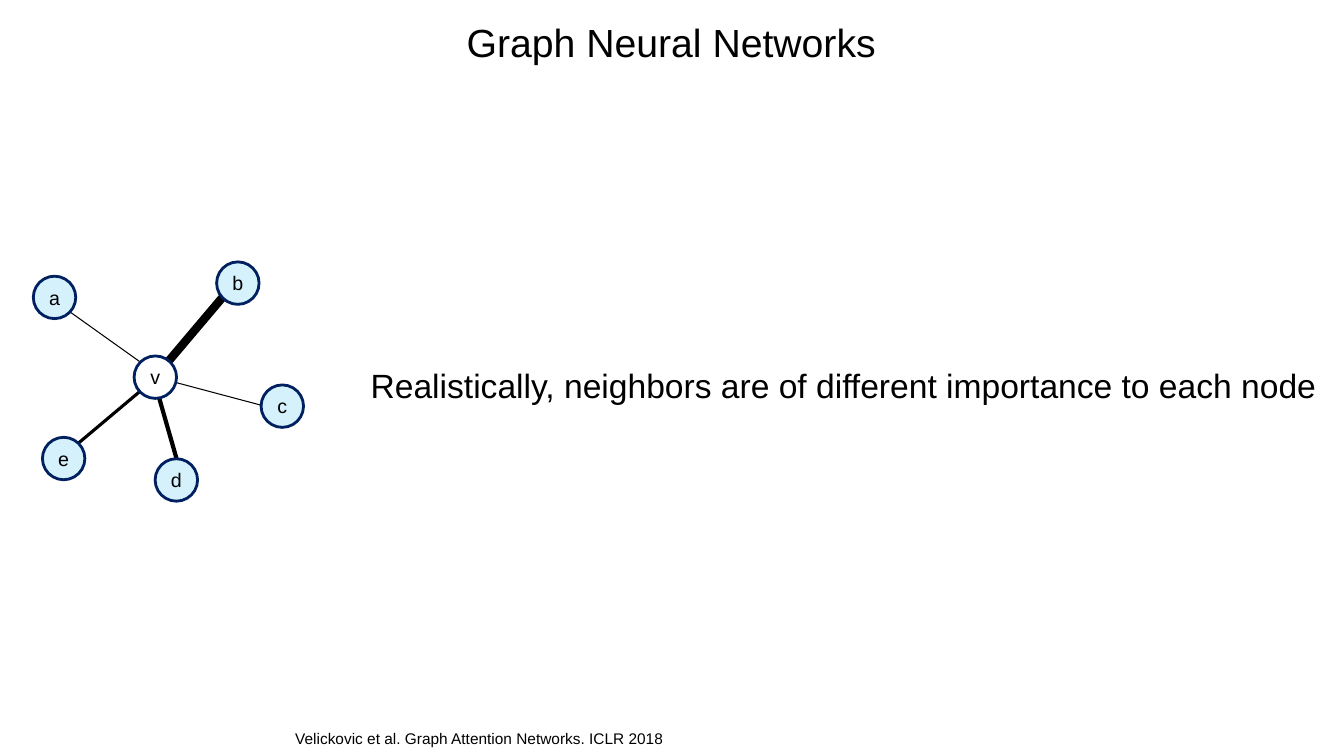
from lxml.etree import SubElement
from pptx import Presentation
from pptx.dml.color import RGBColor
from pptx.enum.shapes import MSO_CONNECTOR, MSO_SHAPE
from pptx.enum.text import MSO_ANCHOR, PP_ALIGN
from pptx.oxml.ns import qn
from pptx.util import Cm, Pt

BLACK = "000000"
NODE_SIZE = 1.07


def color(code):
    return RGBColor.from_string(code)


def write(frame, text, size, align=PP_ALIGN.LEFT):
    para = frame.paragraphs[0]
    para.text = text
    para.alignment = align
    para.font.name = "Arial"
    para.font.size = Pt(size)
    para.font.color.rgb = color(BLACK)


deck = Presentation()
deck.slide_width, deck.slide_height = Cm(33.87), Cm(19.05)
page = deck.slides.add_slide(deck.slide_layouts[6])

# Title
title = page.shapes.add_textbox(Cm(1.14), Cm(0.2), Cm(31.55), Cm(2.13))
frame = title.text_frame
frame.word_wrap = True
frame.margin_left = frame.margin_right = Cm(0.25)
frame.margin_top = frame.margin_bottom = Cm(0.25)
write(frame, "Graph Neural Networks", 28, PP_ALIGN.CENTER)

# Edges from v to its neighbors: start, end, weight in points
edges = [
    ((3.53, 9.12), (1.75, 7.85), 0.75),
    ((3.53, 9.86), (1.96, 11.18), 2.25),
    ((3.91, 9.5), (5.61, 7.49), 6),
    ((3.86, 9.5), (4.45, 11.56), 3),
    ((3.91, 9.5), (6.58, 10.21), 0.75),
]
for start, end, weight in edges:
    edge = page.shapes.add_connector(
        MSO_CONNECTOR.STRAIGHT, *[Cm(value) for value in start + end])
    edge.line.color.rgb = color(BLACK)
    edge.line.width = Pt(weight)
    SubElement(edge._element.spPr, qn("a:effectLst"))

# Nodes: name, left, top
nodes = [
    ("a", 0.84, 6.96),
    ("e", 1.07, 11.02),
    ("v", 3.38, 8.97),
    ("b", 5.46, 6.6),
    ("d", 3.91, 11.56),
    ("c", 6.58, 9.7),
]
for name, left, top in nodes:
    node = page.shapes.add_shape(
        MSO_SHAPE.OVAL, Cm(left), Cm(top), Cm(NODE_SIZE), Cm(NODE_SIZE))
    node.shadow.inherit = False
    node.line.color.rgb = color("002060")
    node.line.width = Pt(2)
    node.fill.solid()
    if name == "v":
        node.fill.fore_color.rgb = color("FFFFFF")
    else:
        node.fill.fore_color.rgb = color("00B0F0")
        tint = node._element.spPr.find(qn("a:solidFill"))[0]
        SubElement(tint, qn("a:alpha"), val="17000")
    frame = node.text_frame
    frame.margin_left = frame.margin_right = Cm(0)
    frame.vertical_anchor = MSO_ANCHOR.MIDDLE
    write(frame, name, 14, PP_ALIGN.CENTER)

# Citation
citation = page.shapes.add_textbox(Cm(7.19), Cm(18.26), Cm(24.33), Cm(0.74))
citation.text_frame.word_wrap = True
write(citation.text_frame,
      "Velickovic et al. Graph Attention Networks. ICLR 2018", 11)

# Statement
statement = page.shapes.add_textbox(Cm(9.09), Cm(9.07), Cm(24.66), Cm(1.27))
statement.text_frame.word_wrap = False
write(statement.text_frame,
      "Realistically, neighbors are of different importance to each node", 24)

deck.save("out.pptx")
